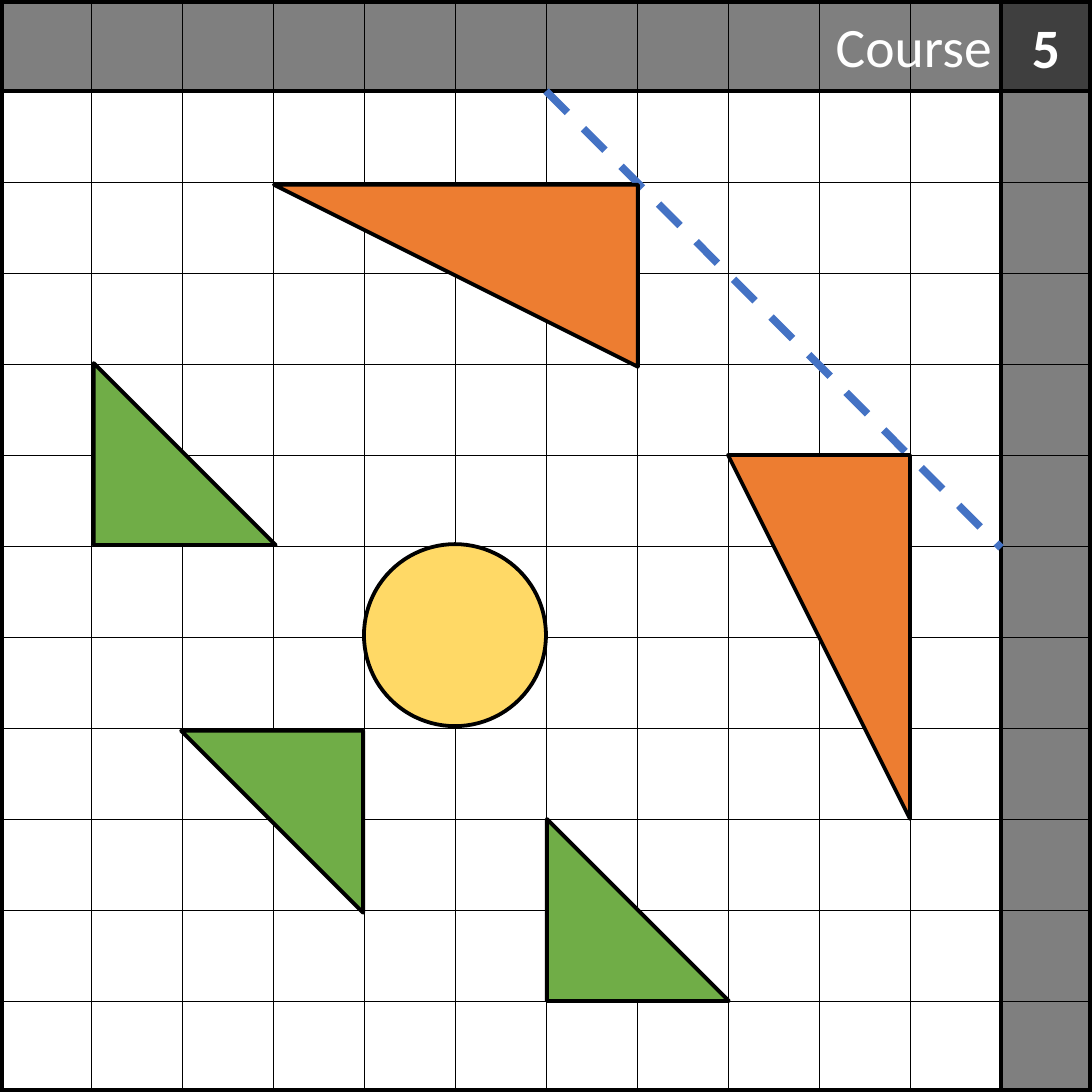
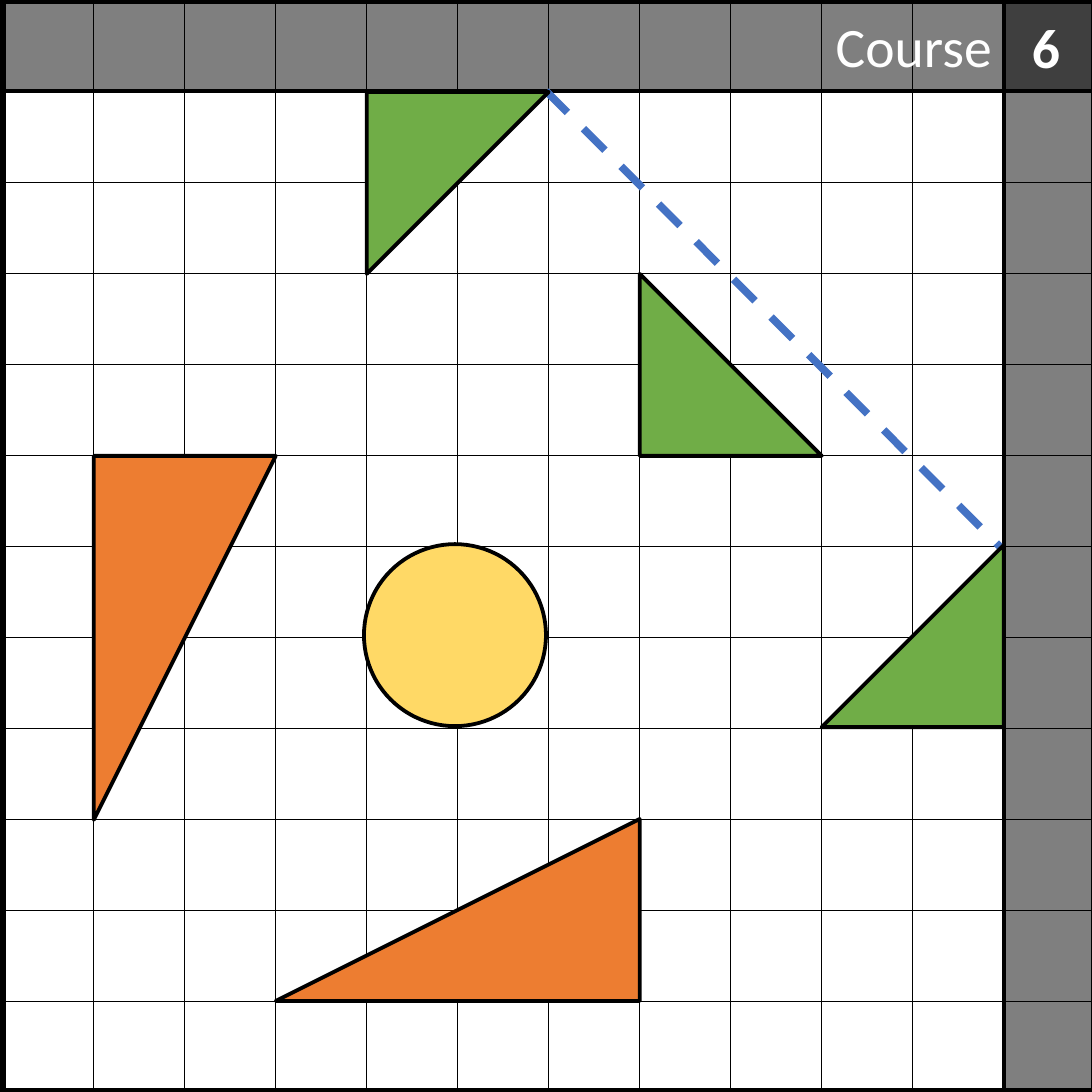
"""Build two square course maps, each with a grid, triangles and a dashed line."""
from dataclasses import dataclass

from lxml import etree
from pptx import Presentation
from pptx.dml.color import RGBColor
from pptx.enum.dml import MSO_LINE
from pptx.enum.shapes import MSO_CONNECTOR, MSO_SHAPE
from pptx.enum.text import MSO_ANCHOR, MSO_AUTO_SIZE, PP_ALIGN
from pptx.oxml.ns import qn
from pptx.presentation import Presentation as Deck
from pptx.shapes.autoshape import Shape
from pptx.shapes.connector import Connector
from pptx.shapes.shapetree import GroupShapes
from pptx.slide import Slide
from pptx.util import Length, Pt

RECTANGLE = MSO_SHAPE.RECTANGLE
RIGHT_TRIANGLE = MSO_SHAPE.RIGHT_TRIANGLE
OVAL = MSO_SHAPE.OVAL
STRAIGHT = MSO_CONNECTOR.STRAIGHT
DASH = MSO_LINE.DASH
TOP = MSO_ANCHOR.TOP
GROW = MSO_AUTO_SIZE.SHAPE_TO_FIT_TEXT
LEFT = PP_ALIGN.LEFT
RIGHT = PP_ALIGN.RIGHT

BLACK = RGBColor(0x00, 0x00, 0x00)
WHITE = RGBColor(0xFF, 0xFF, 0xFF)
BLUE = RGBColor(0x44, 0x72, 0xC4)
GREEN = RGBColor(0x70, 0xAD, 0x47)
ORANGE = RGBColor(0xED, 0x7D, 0x31)
YELLOW = RGBColor(0xFF, 0xD9, 0x66)

FONT = "Calibri"
FONT_SIZE = Pt(44)
CELL = 72
CELLS = 12
FRAME_WEIGHT = 6
GRID_WEIGHT = 0.5
OUTLINE_WEIGHT = 3
DASH_WEIGHT = 6
BAND_OPACITY = 50


@dataclass(frozen=True)
class Box:
    """A rectangle measured in grid cells."""

    left: float
    top: float
    width: float
    height: float

    def lengths(self) -> tuple[Length, ...]:
        """Return left, top, width and height as lengths."""
        return tuple(map(cells, (self.left, self.top, self.width, self.height)))


@dataclass(frozen=True)
class Triangle:
    """A right triangle in its visible box, turned clockwise by quarters."""

    box: Box
    color: RGBColor
    quarters: int = 0

    def unturned(self) -> Box:
        """Return the box that fills the visible box once it is turned."""
        box = self.box
        if self.quarters % 2 == 0:
            return box
        shift = (box.width - box.height) / 2
        return Box(box.left + shift, box.top - shift, box.height, box.width)


@dataclass(frozen=True)
class Course:
    """The number, grid offset and triangles of one course."""

    number: str
    grid_left: float
    triangles: tuple[Triangle, ...]


COURSES = (
    Course("5", 0, (
        Triangle(Box(1.03, 3.99, 2, 2), GREEN),
        Triangle(Box(6.01, 9, 2, 2), GREEN),
        Triangle(Box(1.99, 8.03, 2, 2), GREEN, 2),
        Triangle(Box(8, 5, 2, 4), ORANGE, 2),
        Triangle(Box(3.01, 2.03, 4, 2), ORANGE, 2),
    )),
    Course("6", 0.03, (
        Triangle(Box(4.03, 1.01, 2, 2), GREEN, 1),
        Triangle(Box(7.03, 3.01, 2, 2), GREEN),
        Triangle(Box(9.03, 5.99, 2, 2), GREEN, 3),
        Triangle(Box(3.03, 9, 4, 2), ORANGE, 3),
        Triangle(Box(1.03, 5.01, 2, 4), ORANGE, 1),
    )),
)


def cells(count: float) -> Length:
    """Convert grid cells to a length."""
    return Pt(count * CELL)


def draw_shape(shapes: GroupShapes, kind: MSO_SHAPE, box: Box, color: RGBColor,
               weight: float = OUTLINE_WEIGHT) -> Shape:
    """Draw a filled shape with a black outline."""
    shape = shapes.add_shape(kind, *box.lengths())
    shape.shadow.inherit = False
    shape.fill.solid()
    shape.fill.fore_color.rgb = color
    shape.line.color.rgb = BLACK
    shape.line.width = Pt(weight)
    return shape


def draw_line(shapes: GroupShapes, start: tuple[float, float], end: tuple[float, float],
              color: RGBColor, weight: float) -> Connector:
    """Draw a straight line without a shadow."""
    line = shapes.add_connector(STRAIGHT, *map(cells, start + end))
    line.line.color.rgb = color
    line.line.width = Pt(weight)
    etree.SubElement(line.element.spPr, qn("a:effectLst"))
    return line


def draw_band(shapes: GroupShapes, box: Box) -> None:
    """Draw a half-transparent black band."""
    band = draw_shape(shapes, RECTANGLE, box, BLACK)
    color = band.element.spPr.find(qn("a:solidFill"))[0]
    etree.SubElement(color, qn("a:alpha"), val=str(BAND_OPACITY * 1000))


def draw_grid(slide: Slide, left: float) -> None:
    """Draw the frame, the grid lines and the two bands as one group."""
    shapes = slide.shapes.add_group_shape().shapes
    draw_shape(shapes, RECTANGLE, Box(left, 0, CELLS, CELLS), WHITE, FRAME_WEIGHT)
    for step in range(1, CELLS):
        draw_line(shapes, (left, step), (left + CELLS, step), BLACK, GRID_WEIGHT)
        draw_line(shapes, (left + step, 0), (left + step, CELLS), BLACK, GRID_WEIGHT)
    draw_band(shapes, Box(left, 0, CELLS, 1))
    draw_band(shapes, Box(left + CELLS - 1, 0.02, 1, CELLS))


def draw_triangles(slide: Slide, triangles: tuple[Triangle, ...]) -> None:
    """Draw the triangles as one group."""
    shapes = slide.shapes.add_group_shape().shapes
    for triangle in triangles:
        shape = draw_shape(shapes, RIGHT_TRIANGLE, triangle.unturned(), triangle.color)
        shape.rotation = triangle.quarters * 90


def write_label(shape: Shape, text: str, align: PP_ALIGN, bold: bool, wrap: bool) -> None:
    """Write one white line of header text."""
    frame = shape.text_frame
    frame.text = text
    frame.word_wrap = wrap
    frame.auto_size = GROW
    frame.vertical_anchor = TOP
    para = frame.paragraphs[0]
    para.alignment = align
    para.line_spacing = 1.0
    para.font.name = FONT
    para.font.size = FONT_SIZE
    para.font.bold = bold
    para.font.color.rgb = WHITE


def draw_header(slide: Slide, number: str) -> None:
    """Write the course number and bring the title to the front."""
    number_box = slide.shapes.add_textbox(*Box(11.24, 0.09, 0.51, 0.84).lengths())
    write_label(number_box, number, LEFT, bold=True, wrap=False)
    title = slide.shapes.title
    title.left, title.top, title.width, title.height = Box(6.09, 0.08, 4.91, 0.84).lengths()
    write_label(title, "Course", RIGHT, bold=False, wrap=True)
    title.element.getparent().append(title.element)


def draw_course(deck: Deck, course: Course) -> None:
    """Add the slide of one course."""
    slide = deck.slides.add_slide(deck.slide_layouts.get_by_name("Title Only"))
    draw_grid(slide, course.grid_left)
    dashed = draw_line(slide.shapes, (6, 1), (11, 6.02), BLUE, DASH_WEIGHT)
    dashed.line.dash_style = DASH
    draw_triangles(slide, course.triangles)
    draw_shape(slide.shapes, OVAL, Box(4, 5.98, 2, 2), YELLOW)
    draw_header(slide, course.number)


def main() -> None:
    """Build and save the deck."""
    deck = Presentation()
    deck.slide_width = deck.slide_height = cells(CELLS)
    for course in COURSES:
        draw_course(deck, course)
    deck.save("out.pptx")


if __name__ == "__main__":
    main()
